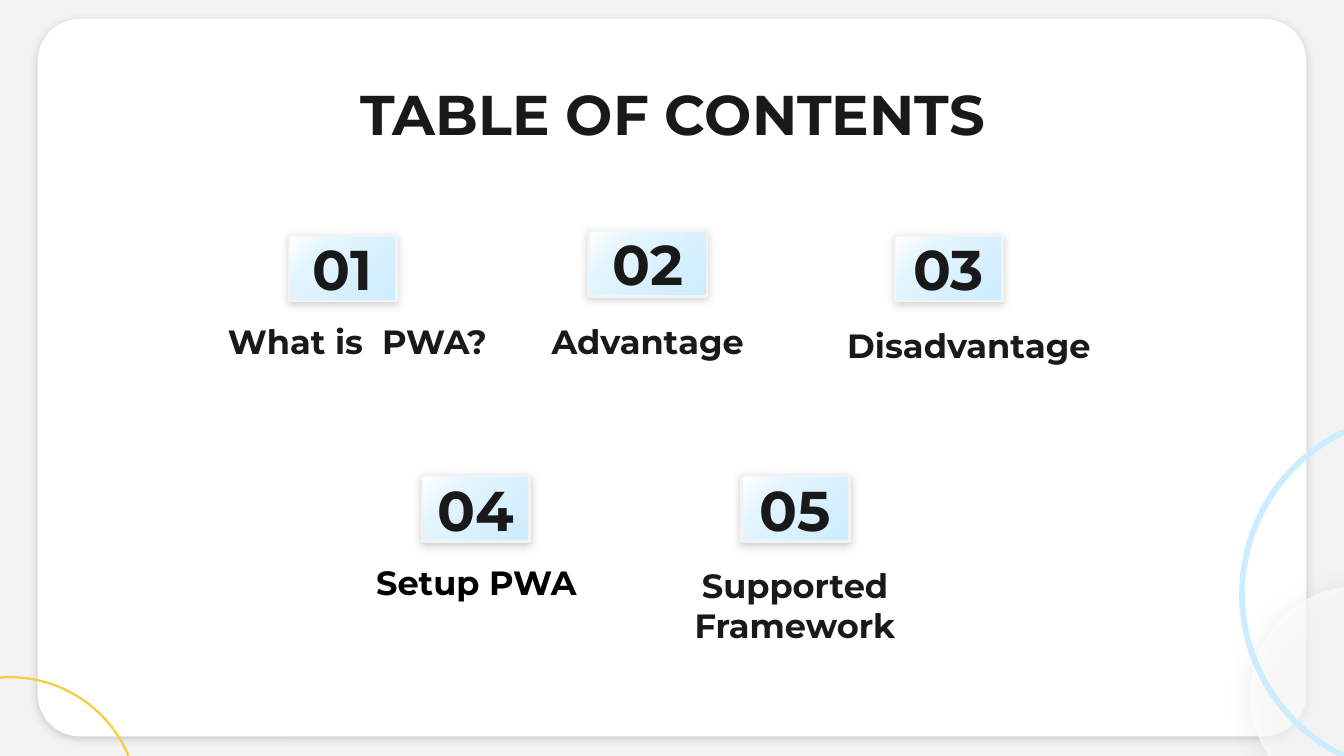
from copy import deepcopy
from dataclasses import dataclass

from lxml import etree
from pptx import Presentation
from pptx import util as u
from pptx.dml.color import RGBColor
from pptx.enum import shapes, text
from pptx.oxml import ns

FONT = "Montserrat"
INK = "191919"
PALE = "F3F3F3"
SKY = "CCECFF"
TILE_STOPS = [(0, SKY), (0.69, "E2F4FF"), (1, "FFFFFF")]
TILE_HEIGHT = 35.3
KIND = shapes.MSO_SHAPE


@dataclass(frozen=True)
class Area:
    left: float
    top: float
    width: float
    height: float

    def lengths(self):
        return [u.Pt(v) for v in (self.left, self.top, self.width, self.height)]


@dataclass(frozen=True)
class Shadow:
    opacity: int
    blur: float
    distance: float
    angle: int
    color: str = "000000"


@dataclass(frozen=True)
class Entry:
    number: str
    tile: Area
    label: str
    label_area: Area
    color: str = INK
    anchor: text.MSO_ANCHOR = text.MSO_ANCHOR.BOTTOM
    inset: float = 7.2
    shadow_opacity: int = 17


def rgb(color: str) -> RGBColor:
    return RGBColor.from_string(color)


def add_xml(parent, tag: str, **attributes):
    return etree.SubElement(parent, ns.qn(tag), {k: str(v) for k, v in attributes.items()})


def add_shadow(shape, shadow: Shadow) -> None:
    effects = shape._element.spPr.find(ns.qn("a:effectLst"))
    outer = add_xml(effects, "a:outerShdw", blurRad=u.Pt(shadow.blur), dist=u.Pt(shadow.distance),
                    dir=shadow.angle * 60000, algn="bl", rotWithShape=0)
    add_xml(add_xml(outer, "a:srgbClr", val=shadow.color), "a:alpha", val=shadow.opacity * 1000)


def add_figure(page, kind, area: Area, fill: str | None = None, adjust: float | None = None,
               shadow: Shadow | None = None):
    shape = page.shapes.add_shape(kind, *area.lengths())
    if adjust is not None:
        shape.adjustments[0] = adjust
    if fill:
        shape.fill.solid()
        shape.fill.fore_color.rgb = rgb(fill)
    shape.line.fill.background()
    shape.shadow.inherit = False
    if shadow:
        add_shadow(shape, shadow)
    return shape


def write(box, words: str, *, size: float, color: str = INK, inset: float = 7.2,
          anchor=text.MSO_ANCHOR.TOP) -> None:
    frame = box.text_frame
    frame.word_wrap = True
    frame.auto_size = text.MSO_AUTO_SIZE.NONE
    frame.vertical_anchor = anchor
    frame.margin_left = frame.margin_right = u.Pt(7.2)
    frame.margin_top = frame.margin_bottom = u.Pt(inset)
    para = frame.paragraphs[0]
    para.alignment = text.PP_ALIGN.CENTER
    span = para.add_run()
    span.text = words
    span.font.name = FONT
    span.font.size = u.Pt(size)
    span.font.bold = True
    span.font.color.rgb = rgb(color)


def fill_gradient(shape) -> None:
    """Blend the tile from sky blue at bottom right to white at top left."""
    shape.fill.gradient()
    shape.fill.gradient_angle = 135
    stop_list = shape._element.spPr.find(".//" + ns.qn("a:gsLst"))
    stop_list.append(deepcopy(stop_list[-1]))
    for stop, (position, color) in zip(shape.fill.gradient_stops, TILE_STOPS):
        stop.position = position
        stop.color.rgb = rgb(color)


def add_entry(page, entry: Entry) -> None:
    tile = add_figure(page, KIND.RECTANGLE, entry.tile,
                      shadow=Shadow(entry.shadow_opacity, 4.5, 1.5, 90))
    fill_gradient(tile)
    tile.line.color.rgb = rgb(PALE)
    tile.line.width = u.Pt(1.5)
    write(tile, entry.number, size=30, anchor=text.MSO_ANCHOR.MIDDLE)
    label = page.shapes.add_textbox(*entry.label_area.lengths())
    write(label, entry.label, size=18, color=entry.color, inset=entry.inset, anchor=entry.anchor)


def add_backdrop(page) -> None:
    page.background.fill.solid()
    page.background.fill.fore_color.rgb = rgb(PALE)
    add_figure(page, KIND.ROUNDED_RECTANGLE, Area(20.2, 10.1, 679.7, 384.5), "FFFFFF", 0.059,
               Shadow(17, 4.5, 1.5, 90))
    disc = add_figure(page, KIND.OVAL, Area(669.6, 313.9, 116.6, 116.6), "FFFFFF",
                      shadow=Shadow(19, 14.6, 2.2, 74, "595959"))
    disc.rotation = 257.6
    add_xml(disc._element.spPr.find(".//" + ns.qn("a:srgbClr")), "a:alpha", val=62000)
    add_figure(page, KIND.DONUT, Area(663.8, 220.3, 195.8, 195.8), SKY, 0.016)
    add_figure(page, KIND.DONUT, Area(-64.1, 362.2, 139, 139), "F2D044", 0.009)


def add_title(page, words: str) -> None:
    title = page.shapes.title
    title.left, title.top, title.width, title.height = Area(56.9, 35.3, 607, 45.4).lengths()
    write(title, words, size=30)
    page.shapes._spTree.append(title._element)  # in front of the card


ENTRIES = [
    Entry("01", Area(154.8, 126, 57.6, TILE_HEIGHT), "What is  PWA?",
          Area(93.6, 147.3, 195.8, 53.3)),
    Entry("02", Area(315.4, 123.4, 63.4, TILE_HEIGHT), "Advantage",
          Area(249.1, 147.3, 195.8, 53.3)),
    Entry("03", Area(479.5, 126, 57.6, TILE_HEIGHT), "Disadvantage",
          Area(421.2, 149.8, 195.8, 53.3)),
    Entry("04", Area(226.1, 255, 57.6, TILE_HEIGHT), "Setup PWA",
          Area(174.2, 297.4, 162, 28.8), color="000000", anchor=text.MSO_ANCHOR.TOP,
          inset=3.6, shadow_opacity=20),
    Entry("05", Area(397.4, 255, 57.6, TILE_HEIGHT), "Supported Framework",
          Area(334.1, 299.5, 183.6, 53.3), shadow_opacity=20),
]


def main() -> None:
    deck = Presentation()
    deck.slide_width, deck.slide_height = u.Pt(720), u.Pt(405)
    page = deck.slides.add_slide(deck.slide_layouts[5])
    add_backdrop(page)
    add_title(page, "TABLE OF CONTENTS")
    for entry in ENTRIES:
        add_entry(page, entry)
    deck.save("out.pptx")


if __name__ == "__main__":
    main()
